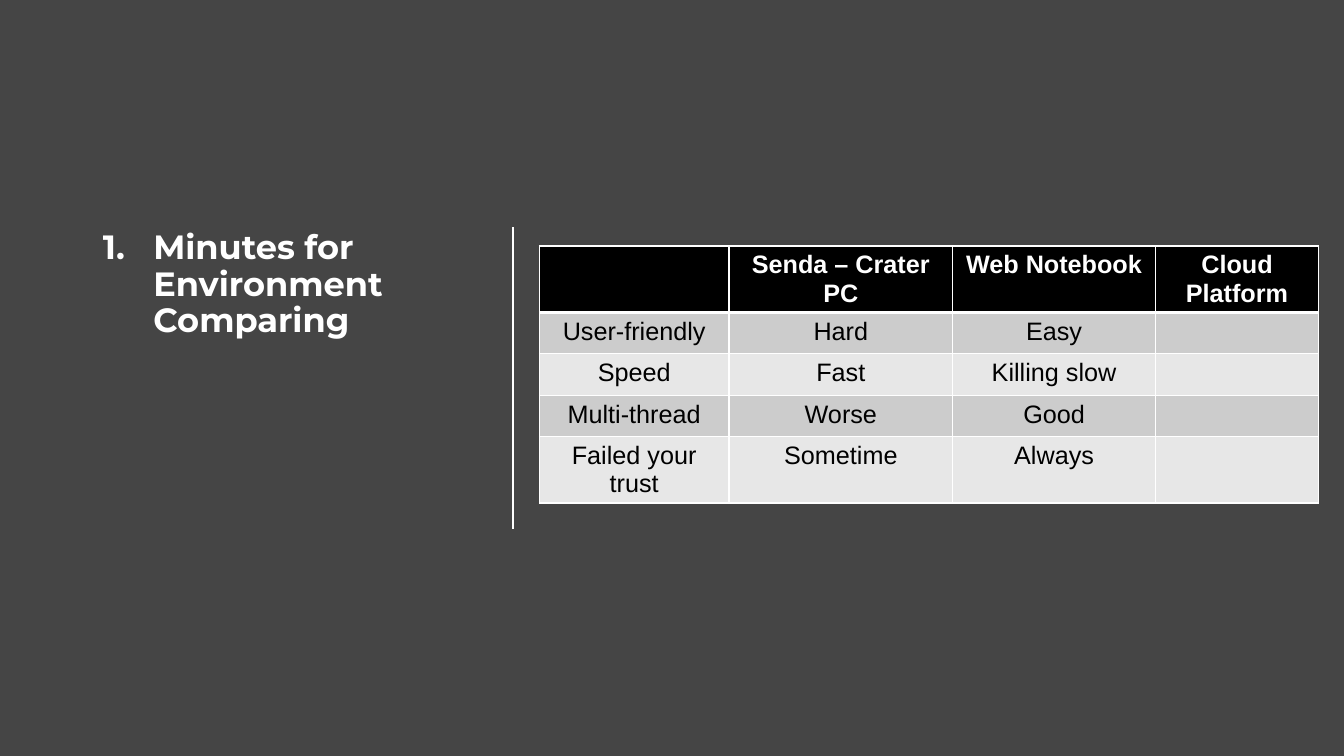
from lxml import etree
from pptx import Presentation
from pptx.dml.color import RGBColor
from pptx.enum import shapes, text
from pptx.oxml import ns
from pptx.util import Inches, Pt

COLORS = {"back": "454545", "white": "FFFFFF", "black": "000000",
          "odd": "CCCCCC", "even": "E7E7E7"}
ROWS = [
    ["", "Senda – Crater\nPC", "Web Notebook", "Cloud Platform"],
    ["User-friendly", "Hard", "Easy", ""],
    ["Speed", "Fast", "Killing slow", ""],
    ["Multi-thread", "Worse", "Good", ""],
    ["Failed your trust", "Sometime", "Always", ""],
]
WIDTHS = [1.88, 2.22, 2.01, 1.62]
HEIGHTS = [0.65, 0.41, 0.41, 0.41, 0.65]


def color(name):
    return RGBColor.from_string(COLORS[name])


def style(par, font, size, tone, bold):
    for run in par.runs:
        run.font.name = font
        run.font.size = Pt(size)
        run.font.bold = bold
        run.font.color.rgb = color(tone)


def add_title(slide, words):
    title = slide.shapes.title
    title.left, title.top = Inches(0.92), Inches(1.05)
    title.width, title.height = Inches(3.82), Inches(5.39)
    frame = title.text_frame
    frame.text = words
    frame.word_wrap = True
    frame.auto_size = text.MSO_AUTO_SIZE.NONE
    frame.vertical_anchor = text.MSO_ANCHOR.TOP
    frame.margin_top = Inches(1.24)
    par = frame.paragraphs[0]
    par.alignment = text.PP_ALIGN.LEFT
    par.line_spacing = 0.9
    style(par, "Montserrat", 24, "white", True)
    # Automatic number with a hanging indent
    props = par._p.get_or_add_pPr()
    props.set("marL", str(Inches(0.5)))
    props.set("indent", str(Inches(-0.5)))
    etree.SubElement(props, ns.qn("a:buFont"), typeface="+mj-lt")
    etree.SubElement(props, ns.qn("a:buAutoNum"), type="arabicPeriod")


def add_rule(slide, x, top, bottom):
    rule = slide.shapes.add_connector(
        shapes.MSO_CONNECTOR.STRAIGHT,
        Inches(x), Inches(top), Inches(x), Inches(bottom))
    rule.line.color.rgb = color("white")
    rule.line.width = Pt(1.25)
    etree.SubElement(rule._element.spPr, ns.qn("a:effectLst"))


def add_edge(cell, side, width, place):
    edge = etree.Element(ns.qn("a:ln" + side), w=str(Pt(width)))
    fill = etree.SubElement(edge, ns.qn("a:solidFill"))
    etree.SubElement(fill, ns.qn("a:srgbClr"), val=COLORS["white"])
    cell._tc.get_or_add_tcPr().insert(place, edge)


def fill_cell(cell, words, row):
    head = row == 0
    cell.text_frame.text = words
    for par in cell.text_frame.paragraphs:
        par.alignment = text.PP_ALIGN.CENTER
        style(par, "Arial", 18, "white" if head else "black", head)
    cell.fill.solid()
    tone = "black" if head else "odd" if row % 2 else "even"
    cell.fill.fore_color.rgb = color(tone)
    # The header is set off by a thick rule, shared with the row below
    widths = {"L": 1, "R": 1, "T": 3 if row == 1 else 1, "B": 3 if head else 1}
    for place, (side, width) in enumerate(widths.items()):
        add_edge(cell, side, width, place)


def add_grid(slide):
    frame = slide.shapes.add_table(
        len(ROWS), len(WIDTHS), Inches(5.35), Inches(2.44),
        Inches(sum(WIDTHS)), Inches(sum(HEIGHTS)))
    grid = frame.table
    for column, width in zip(grid.columns, WIDTHS):
        column.width = Inches(width)
    for row, (words, height) in enumerate(zip(ROWS, HEIGHTS)):
        grid.rows[row].height = Inches(height)
        for col, word in enumerate(words):
            fill_cell(grid.cell(row, col), word, row)


def main():
    deck = Presentation()
    deck.slide_width, deck.slide_height = Inches(13.33), Inches(7.5)
    slide = deck.slides.add_slide(deck.slide_layouts[5])
    # Background
    slide.background.fill.solid()
    slide.background.fill.fore_color.rgb = color("back")
    # Title, divider and comparison table
    add_title(slide, "Minutes for Environment Comparing")
    add_rule(slide, 5.09, 2.25, 5.25)
    add_grid(slide)
    deck.save("out.pptx")


if __name__ == "__main__":
    main()
